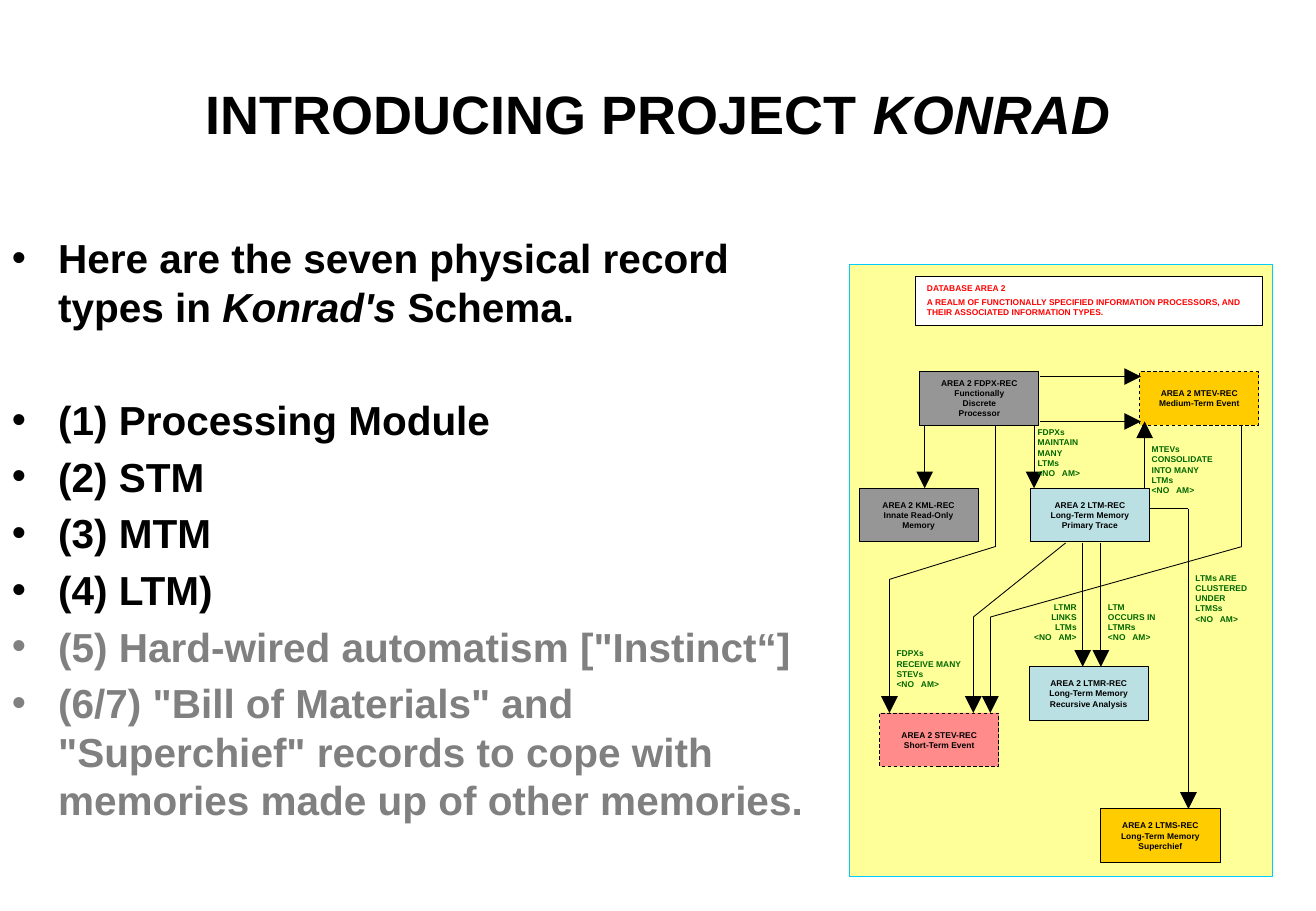
"""Build the slide introducing the record types of Project Konrad."""
from lxml import etree
from pptx import Presentation
from pptx.dml.color import RGBColor
from pptx.enum.dml import MSO_LINE
from pptx.enum.shapes import MSO_CONNECTOR, MSO_SHAPE
from pptx.enum.text import MSO_ANCHOR, PP_ALIGN
from pptx.oxml.ns import qn
from pptx.util import Inches, Pt

RECT = MSO_SHAPE.RECTANGLE
STRAIGHT = MSO_CONNECTOR.STRAIGHT
DASH = MSO_LINE.DASH
LEFT, CENTER, RIGHT = PP_ALIGN.LEFT, PP_ALIGN.CENTER, PP_ALIGN.RIGHT
TOP, MIDDLE = MSO_ANCHOR.TOP, MSO_ANCHOR.MIDDLE

THEME = {
    "font": "Arial",
    "title": 32, "body": 24, "diagram": 5, "line": 0.5,
    "black": "000000", "muted": "808080", "white": "FFFFFF",
    "panel": "FFFF99", "panel_edge": "00CCFF", "heading": "FF0000", "label": "006600",
    "processor": "969696", "event": "FFCC00", "short_term": "FF8B8B", "memory": "BBE0E3",
}

TITLE = [("INTRODUCING PROJECT ", False), ("KONRAD", True)]
INTRO = [("Here are the seven physical record types in ", False),
         ("Konrad's", True), (" Schema.", False)]
RECORD_TYPES = [
    ("(1) Processing Module", "black"),
    ("(2) STM", "black"),
    ("(3) MTM", "black"),
    ("(4) LTM)", "black"),
    ("(5) Hard-wired automatism [\"Instinct“]", "muted"),
    ("(6/7) \"Bill of Materials\" and \"Superchief\" records to cope with "
     "memories made up of other memories.", "muted"),
]
BODY_GAP = 4.8
LIST_GAP = 38.3

PANEL = (6.99, 2.18, 3.48, 5.04)
HEADING_BOX = (7.53, 2.28, 2.86, 0.4)
HEADING = ["DATABASE AREA 2",
           "A REALM OF FUNCTIONALLY SPECIFIED INFORMATION PROCESSORS, "
           "AND THEIR ASSOCIATED INFORMATION TYPES."]

RECORD_SIZE = (0.98, 0.44)
RECORDS = [
    (7.57, 3.06, "processor", False, "AREA 2 FDPX-REC\nFunctionally\nDiscrete\nProcessor"),
    (9.38, 3.06, "event", True, "AREA 2 MTEV-REC\nMedium-Term Event"),
    (7.24, 5.87, "short_term", True, "AREA 2 STEV-REC\nShort-Term Event"),
    (7.07, 4.02, "processor", False, "AREA 2 KML-REC\nInnate Read-Only\nMemory"),
    (8.48, 4.02, "memory", False, "AREA 2 LTM-REC\nLong-Term Memory\nPrimary Trace"),
    (8.47, 5.49, "memory", False, "AREA 2 LTMR-REC\nLong-Term Memory\nRecursive Analysis"),
    (9.06, 6.66, "event", False, "AREA 2 LTMS-REC\nLong-Term Memory\nSuperchief"),
]

ROUTES = [
    [(8.56, 3.1), (9.39, 3.1)],
    [(8.56, 3.47), (9.39, 3.47)],
    [(7.61, 3.51), (7.61, 4.02)],
    [(8.51, 3.51), (8.51, 4.02)],
    [(9.42, 4.02), (9.42, 3.47)],
    [(8.91, 4.47), (8.91, 5.49)],
    [(9.06, 4.47), (9.06, 5.49)],
    [(9.46, 4.19), (9.78, 4.19), (9.78, 6.66)],
    [(8.19, 3.51), (8.19, 4.5), (7.32, 4.77), (7.32, 5.87)],
    [(10.22, 3.51), (10.22, 4.5), (8.15, 5.08), (8.15, 5.87)],
    [(8.77, 4.47), (8.01, 5.08), (8.01, 5.87)],
]

LABELS = [
    (7.28, 5.29, 0.83, 0.43, LEFT, "FDPXs\nRECEIVE MANY\nSTEVs\n<NO   AM>"),
    (8.44, 3.47, 0.58, 0.52, LEFT, "FDPXs\nMAINTAIN\nMANY\nLTMs\n<NO   AM>"),
    (9.38, 3.61, 0.76, 0.52, LEFT, "MTEVs\nCONSOLIDATE\nINTO MANY\nLTMs\n<NO   AM>"),
    (9.02, 4.91, 0.7, 0.43, LEFT, "LTM\nOCCURS IN\nLTMRs\n<NO   AM>"),
    (8.33, 4.91, 0.63, 0.43, RIGHT, "LTMR\nLINKS\nLTMs\n<NO   AM>"),
    (9.74, 4.67, 0.76, 0.52, LEFT, "LTMs ARE\nCLUSTERED\nUNDER\nLTMSs\n<NO   AM>"),
]


def color(name):
    return RGBColor.from_string(THEME[name])


def style_font(font, size, ink):
    font.name = THEME["font"]
    font.size = Pt(THEME[size])
    font.bold = True
    font.color.rgb = color(ink)


def add_rich_runs(paragraph, parts, size):
    for text, italic in parts:
        run = paragraph.add_run()
        run.text = text
        style_font(run.font, size, "black")
        run.font.italic = italic


def style_frame(frame, ink, align, anchor, wrap=True):
    frame.word_wrap = wrap
    frame.vertical_anchor = anchor
    for paragraph in frame.paragraphs:
        paragraph.alignment = align
        for run in paragraph.runs:
            style_font(run.font, "diagram", ink)


def add_box(shapes, box, fill, edge="black", dashed=False):
    rect = shapes.add_shape(RECT, *map(Inches, box))
    rect.shadow.inherit = False
    rect.fill.solid()
    rect.fill.fore_color.rgb = color(fill)
    rect.line.color.rgb = color(edge)
    rect.line.width = Pt(THEME["line"])
    if dashed:
        rect.line.dash_style = DASH
    return rect


def add_route(shapes, points):
    for start, end in zip(points, points[1:]):
        segment = shapes.add_connector(STRAIGHT, *map(Inches, start + end))
        segment.line.color.rgb = color("black")
        segment.line.width = Pt(THEME["line"])
        properties = segment._element.spPr
        if end == points[-1]:
            etree.SubElement(properties.find(qn("a:ln")), qn("a:tailEnd"),
                             type="triangle", w="lg", len="lg")
        etree.SubElement(properties, qn("a:effectLst"))


def add_bullet(paragraph):
    properties = paragraph._p.get_or_add_pPr()
    properties.set("marL", str(Inches(0.38)))
    properties.set("indent", str(-Inches(0.38)))
    etree.SubElement(properties, qn("a:buFont"), typeface=THEME["font"])
    etree.SubElement(properties, qn("a:buChar"), char="•")


def add_title(slide):
    frame = slide.shapes.add_textbox(0, 0, Inches(10.83), Inches(1.86)).text_frame
    frame.word_wrap = True
    frame.vertical_anchor = MIDDLE
    frame.paragraphs[0].alignment = CENTER
    add_rich_runs(frame.paragraphs[0], TITLE, "title")


def add_body(slide):
    frame = slide.shapes.add_textbox(0, *map(Inches, (1.87, 6.9, 5.55))).text_frame
    frame.word_wrap = True
    add_bullet(frame.paragraphs[0])
    add_rich_runs(frame.paragraphs[0], INTRO, "body")
    for index, (text, ink) in enumerate(RECORD_TYPES):
        paragraph = frame.add_paragraph()
        add_bullet(paragraph)
        paragraph.space_before = Pt(BODY_GAP if index else LIST_GAP)
        paragraph.text = text
        style_font(paragraph.runs[0].font, "body", ink)


def add_diagram(slide):
    shapes = slide.shapes.add_group_shape().shapes
    add_box(shapes, PANEL, "panel", "panel_edge")
    heading = add_box(shapes, HEADING_BOX, "white").text_frame
    heading.text = "\n".join(HEADING)
    style_frame(heading, "heading", LEFT, TOP)
    heading.paragraphs[1].space_before = Pt(2.5)
    for left, top, fill, dashed, text in RECORDS:
        record = add_box(shapes, (left, top, *RECORD_SIZE), fill, dashed=dashed).text_frame
        record.text = text
        style_frame(record, "black", CENTER, MIDDLE, wrap=False)
    for points in ROUTES:
        add_route(shapes, points)
    for *box, align, text in LABELS:
        label = shapes.add_textbox(*map(Inches, box)).text_frame
        label.text = text
        style_frame(label, "label", align, TOP)


def main():
    deck = Presentation()
    deck.slide_width, deck.slide_height = Inches(10.83), Inches(7.5)
    slide = deck.slides.add_slide(deck.slide_layouts[6])
    add_title(slide)
    add_body(slide)
    add_diagram(slide)
    deck.save("out.pptx")


if __name__ == "__main__":
    main()
